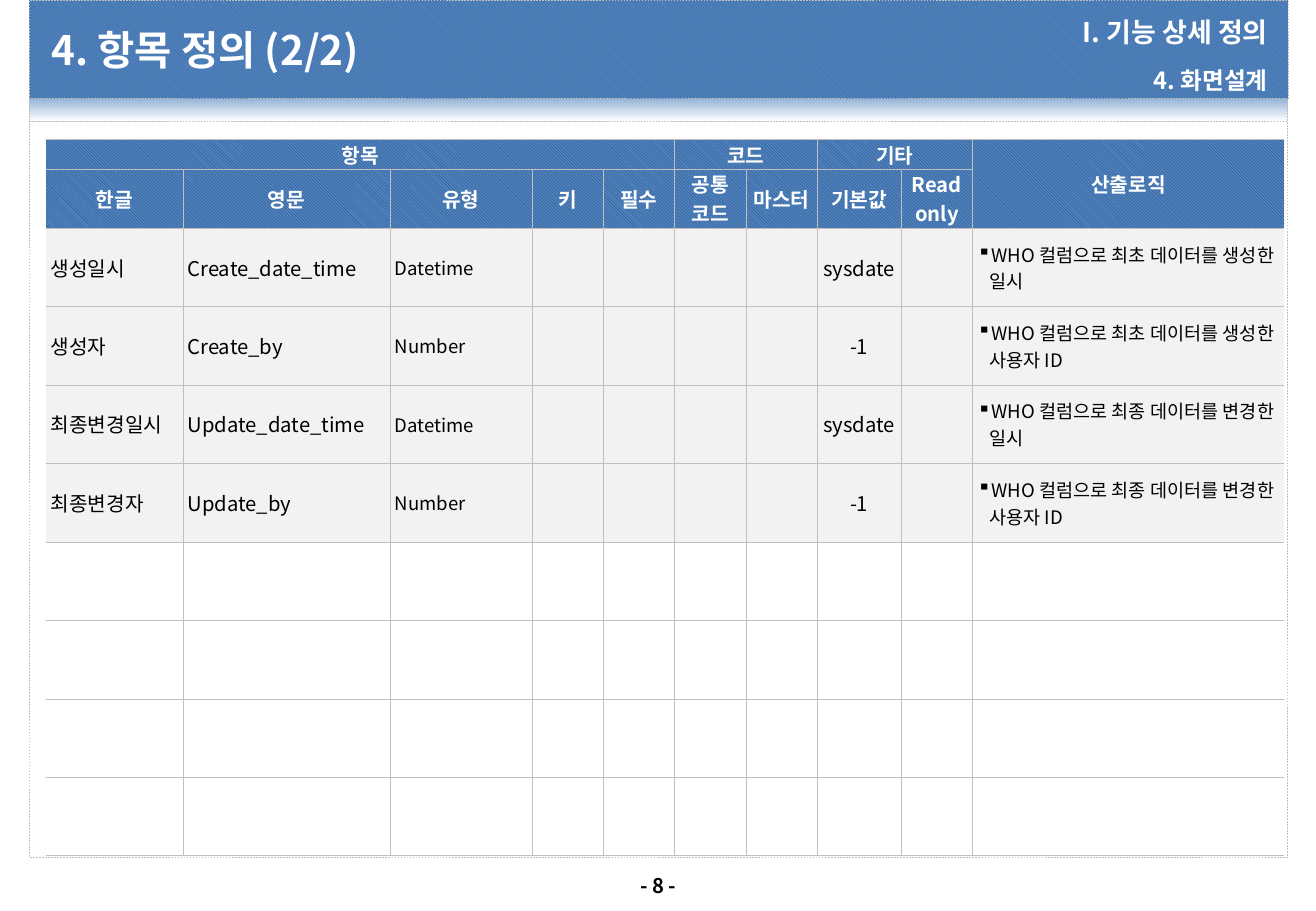
from dataclasses import dataclass

from lxml.etree import SubElement
from pptx import Presentation
from pptx.dml.color import RGBColor
from pptx.enum.dml import MSO_LINE, MSO_PATTERN
from pptx.enum.shapes import MSO_SHAPE
from pptx.enum.text import MSO_ANCHOR, PP_ALIGN
from pptx.oxml.ns import qn
from pptx.util import Cm, Pt


@dataclass(frozen=True)
class Theme:
    font: str = "Noto Sans CJK KR"
    white: str = "FFFFFF"
    black: str = "000000"
    gray: str = "BFBFBF"
    row: str = "F2F2F2"
    blue: str = "4F81BD"
    header_hatch: str = "1F497D"
    banner_hatch: str = "376092"
    fade: str = "95B3D7"
    title: int = 24
    chapter: int = 16
    section: int = 14
    body: int = 12
    small: int = 11
    hairline: float = 0.25


T = Theme()
LEFT, CENTER, RIGHT = PP_ALIGN.LEFT, PP_ALIGN.CENTER, PP_ALIGN.RIGHT

COLUMNS = [2.86, 4.33, 2.97, 1.49, 1.49, 1.49, 1.49, 1.76, 1.49, 6.52]
ROWS = [0.61, 1.24] + [1.64] * 8
GROUPS = [(0, 0, 0, 4, "항목"), (0, 5, 0, 6, "코드"),
          (0, 7, 0, 8, "기타"), (0, 9, 1, 9, "산출로직")]
HEADINGS = ["한글", "영문", "유형", "키", "필수", "공통\n코드",
            "마스터", "기본값", "Read only"]
FIELDS = [
    ("생성일시", "Create_date_time", "Datetime", "sysdate",
     "WHO 컬럼으로 최초 데이터를 생성한 일시"),
    ("생성자", "Create_by", "Number", "-1",
     "WHO 컬럼으로 최초 데이터를 생성한 사용자 ID"),
    ("최종변경일시", "Update_date_time", "Datetime", "sysdate",
     "WHO 컬럼으로 최종 데이터를 변경한 일시"),
    ("최종변경자", "Update_by", "Number", "-1",
     "WHO 컬럼으로 최종 데이터를 변경한 사용자 ID"),
]
FIELD_STYLES = [(0, T.body, LEFT), (1, T.body, LEFT), (2, T.small, LEFT),
                (7, T.body, CENTER), (9, T.small, LEFT)]


def rgb(color):
    return RGBColor.from_string(color)


def paint(fill, color):
    fill.solid()
    fill.fore_color.rgb = rgb(color)


def hatch(fill, color):
    fill.patterned()
    fill.pattern = MSO_PATTERN.LIGHT_DOWNWARD_DIAGONAL
    fill.fore_color.rgb = rgb(color)
    fill.back_color.rgb = rgb(T.blue)


def fade(fill):
    fill.gradient()
    fill.gradient_angle = 270
    for stop, color in zip(fill.gradient_stops, (T.fade, T.white)):
        stop.color.rgb = rgb(color)


def add_run(p, text, size, color, bold):
    r = p.add_run()
    r.text = text
    r.font.size = Pt(size)
    r.font.bold = bold
    r.font.name = T.font
    r.font.color.rgb = rgb(color)
    SubElement(r.font._element, qn("a:ea"), typeface=T.font)


def write(tf, text, size, color, bold, align):
    for i, line in enumerate(text.split("\n")):
        p = tf.add_paragraph() if i else tf.paragraphs[0]
        p.alignment = align
        add_run(p, line, size, color, bold)
    return tf.paragraphs[0]


def add_band(s, top, height):
    sp = s.shapes.add_shape(MSO_SHAPE.RECTANGLE, Cm(0.61), Cm(top),
                            Cm(26.31), Cm(height))
    sp.shadow.inherit = False
    sp.line.color.rgb = rgb(T.gray)
    sp.line.width = Pt(T.hairline)
    sp.line.dash_style = MSO_LINE.DASH
    return sp


def add_label(s, box, text, size, align, color=T.white):
    sp = s.shapes.add_textbox(*map(Cm, box))
    tf = sp.text_frame
    tf.word_wrap = True
    tf.vertical_anchor = MSO_ANCHOR.MIDDLE
    tf.margin_left = tf.margin_right = Cm(0.1)
    tf.margin_top = tf.margin_bottom = Cm(0.1)
    return write(tf, text, size, color, True, align)


def set_borders(cell, sides):
    tcPr = cell._tc.get_or_add_tcPr()
    for side in "LRTB":
        ln = SubElement(tcPr, qn(f"a:ln{side}"), w=str(Pt(T.hairline)))
        if side in sides:
            solid = SubElement(ln, qn("a:solidFill"))
            SubElement(solid, qn("a:srgbClr"), val=T.gray)
        else:
            SubElement(ln, qn("a:noFill"))


def set_bullet(p):
    pPr = p._p.get_or_add_pPr()
    pPr.set("marL", str(Cm(0.25)))
    pPr.set("indent", str(Cm(-0.25)))
    SubElement(pPr, qn("a:buChar"), char="▪")


def style_cell(cell, row, col):
    cell.vertical_anchor = MSO_ANCHOR.MIDDLE
    cell.margin_left = cell.margin_right = Cm(0.1)
    cell.margin_top = cell.margin_bottom = 0
    last = len(COLUMNS) - 1
    set_borders(cell, "TB" + "L" * (col > 0) + "R" * (col < last))
    if row < 2:
        hatch(cell.fill, T.header_hatch)
    else:
        paint(cell.fill, T.row if row < 2 + len(FIELDS) else T.white)


def add_field_table(s):
    table = s.shapes.add_table(len(ROWS), len(COLUMNS), Cm(0.96), Cm(2.92),
                               Cm(sum(COLUMNS)), Cm(sum(ROWS))).table
    table.first_row = table.horz_banding = False
    for column, width in zip(table.columns, COLUMNS):
        column.width = Cm(width)
    for i, height in enumerate(ROWS):
        table.rows[i].height = Cm(height)
        for j in range(len(COLUMNS)):
            style_cell(table.cell(i, j), i, j)

    for top, left, bottom, right, text in GROUPS:
        table.cell(top, left).merge(table.cell(bottom, right))
        write(table.cell(top, left).text_frame, text, T.body, T.white, True, CENTER)
    for j, text in enumerate(HEADINGS):
        write(table.cell(1, j).text_frame, text, T.body, T.white, True, CENTER)
    for i, field in enumerate(FIELDS, 2):
        for text, (j, size, align) in zip(field, FIELD_STYLES):
            p = write(table.cell(i, j).text_frame, text, size, T.black, False, align)
        set_bullet(p)


def main():
    prs = Presentation()
    prs.slide_width, prs.slide_height = Cm(27.51), Cm(19.05)
    s = prs.slides.add_slide(prs.slide_layouts[6])

    fade(add_band(s, 2.06, 0.48).fill)
    paint(add_band(s, 2.54, 15.39).fill, T.white)
    banner = add_band(s, 0, 2.06)
    banner.rotation = 180
    hatch(banner.fill, T.banner_hatch)

    add_label(s, (0.97, 0.2, 16.99, 1.68), "4. 항목 정의 (2/2)", T.title, LEFT)
    add_label(s, (17.96, 0.2, 8.64, 0.94), "I. 기능 상세 정의", T.chapter, RIGHT)
    section = add_label(s, (17.96, 1.19, 8.64, 0.69), "4. 화면설계", T.section, RIGHT)
    section.line_spacing = 1.5
    section.space_before = section.space_after = Pt(2.8)
    add_label(s, (12.9, 18.14, 1.73, 0.76), "- 8 -", T.body, CENTER, T.black)

    add_field_table(s)
    prs.save("out.pptx")


if __name__ == "__main__":
    main()
